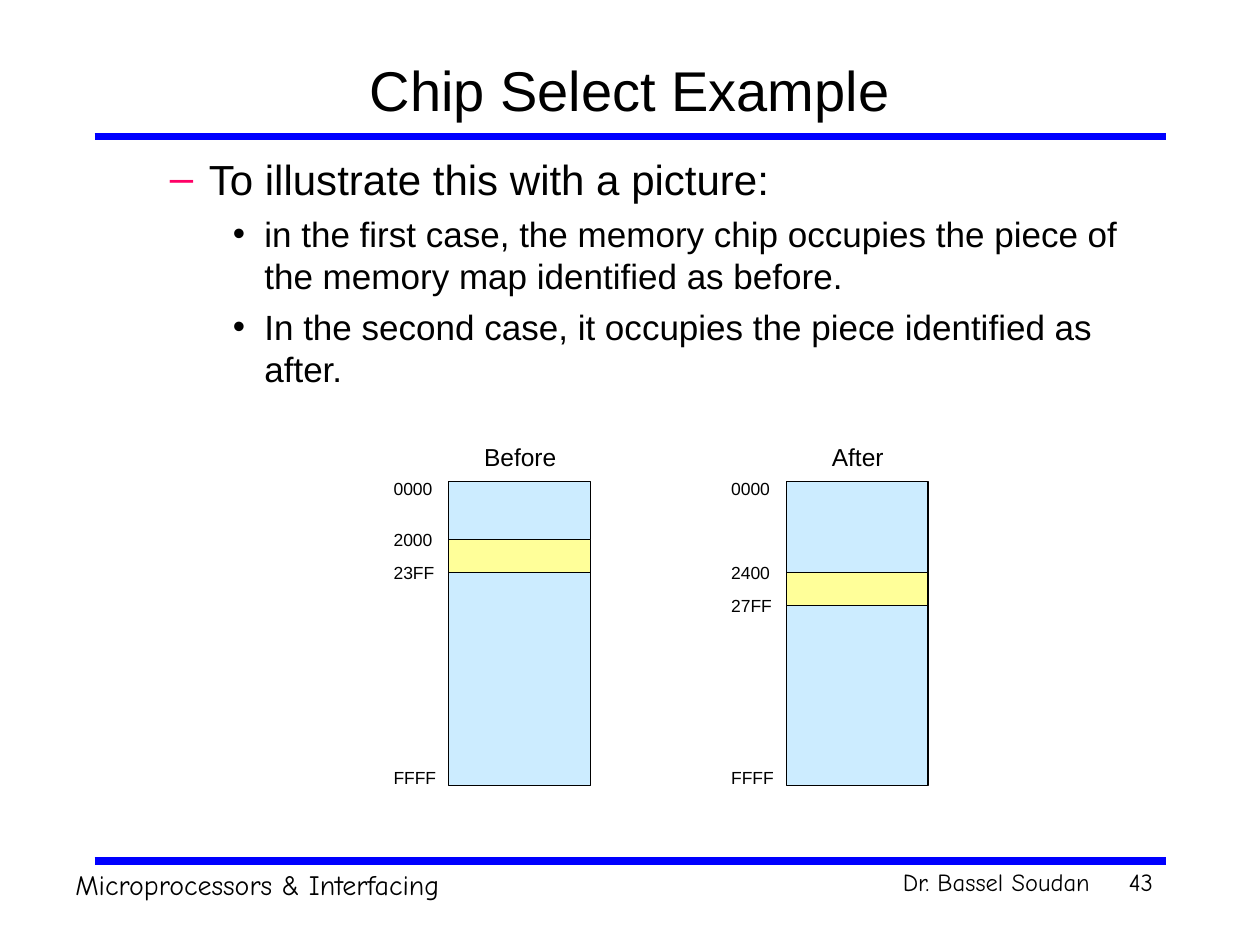
"""Build the Chip Select Example slide with its two memory maps."""
from pptx import Presentation
from pptx.dml.color import RGBColor
from pptx.enum.shapes import MSO_CONNECTOR, MSO_SHAPE
from pptx.enum.text import MSO_ANCHOR, PP_ALIGN
from pptx.oxml.ns import qn
from pptx.util import Inches, Pt
from lxml import etree

LEFT, CENTER, RIGHT = PP_ALIGN.LEFT, PP_ALIGN.CENTER, PP_ALIGN.RIGHT
TOP, MIDDLE = MSO_ANCHOR.TOP, MSO_ANCHOR.MIDDLE
RECT, STRAIGHT = MSO_SHAPE.RECTANGLE, MSO_CONNECTOR.STRAIGHT
COLORS = {"text": "000000", "rule": "0000FF", "dash": "FF0066",
          "memory": "CCECFF", "chip": "FFFF99"}
COMIC = "Comic Neue"

prs = Presentation()
prs.slide_width, prs.slide_height = Inches(10), Inches(7.5)
s = prs.slides.add_slide(prs.slide_layouts[6])
COL, ROW = prs.slide_width / 120, prs.slide_height / 90


def grid(x, y, w, h):
    return int(x * COL), int(y * ROW), int(w * COL), int(h * ROW)


def add_text(text, box, size=10, font="Arial", align=LEFT, anchor=TOP, tf=None):
    if tf is None:
        tf = s.shapes.add_textbox(*grid(*box)).text_frame
        tf.word_wrap, tf.vertical_anchor = True, anchor
        p = tf.paragraphs[0]
    else:
        p = tf.add_paragraph()
    p.alignment = align
    r = p.add_run()
    r.text = text
    r.font.size, r.font.name = Pt(size), font
    r.font.color.rgb = RGBColor.from_string(COLORS["text"])
    return tf


for row in (82, 13):
    x, y, w, h = grid(9, row, 102, 0)
    line = s.shapes.add_connector(STRAIGHT, x, y, x + w, y)
    line.line.color.rgb = RGBColor.from_string(COLORS["rule"])
    line.line.width = Pt(4.5)
    etree.SubElement(line._element.spPr, qn("a:effectLst"))

add_text("Microprocessors & Interfacing", (6, 82, 68, 4.4), size=16, font=COMIC)
add_text("Dr. Bassel Soudan", (76, 82, 29, 4.1), size=14, font=COMIC, align=RIGHT)
add_text("43", (106, 82, 5, 6), size=14, font=COMIC, align=RIGHT)
add_text("Chip Select Example", (9, 4, 102, 9), size=32, align=CENTER, anchor=MIDDLE)

body = (
    ("To illustrate this with a picture:", 1, 24, 6, 0.81, 0.31, "–", "dash"),
    ("in the first case, the memory chip occupies the piece of the memory map "
     "identified as before.", 2, 20, 5, 1.25, 0.25, "•", "text"),
    ("In the second case, it occupies the piece identified as after.",
     2, 20, 5, 1.25, 0.25, "•", "text"),
)
tf = None
for text, level, size, before, margin, hang, bullet, color in body:
    tf = add_text(text, (9, 14, 102, 67), size=size, tf=tf)
    p = tf.paragraphs[-1]
    p.level, p.space_before = level, Pt(before)
    pPr = p._p.get_or_add_pPr()
    pPr.set("marL", str(Inches(margin)))
    pPr.set("indent", str(-Inches(hang)))
    buClr = etree.SubElement(pPr, qn("a:buClr"))
    etree.SubElement(buClr, qn("a:srgbClr"), val=COLORS[color])
    etree.SubElement(pPr, qn("a:buFont"), typeface="Arial")
    etree.SubElement(pPr, qn("a:buChar"), char=bullet)

MAP_TOP, MAP_H, MAP_W, CHIP_H = 45.85, 29, 13.5, 3.15
maps = (
    ("Before", 42.75, 51.35, "2000", "23FF"),
    ("After", 74.9, 51.35 + CHIP_H, "2400", "27FF"),
)
for caption, x, chip_top, first, last in maps:
    for top, height, fill in ((MAP_TOP, MAP_H, "memory"), (chip_top, CHIP_H, "chip")):
        sp = s.shapes.add_shape(RECT, *grid(x, top, MAP_W, height))
        sp.shadow.inherit = False
        sp.fill.solid()
        sp.fill.fore_color.rgb = RGBColor.from_string(COLORS[fill])
        sp.line.color.rgb = RGBColor.from_string(COLORS["text"])
        sp.line.width = Pt(0.75)
    addresses = (("0000", MAP_TOP - 0.95), (first, chip_top - 1.55),
                 (last, chip_top + CHIP_H - 1.55), ("FFFF", MAP_TOP + MAP_H - 2.35))
    for address, y in addresses:
        add_text(address, (x - 6.45, y, 6.6, 3.2))
    add_text(caption, (x + 2, 41.5, 9.6, 4.1), size=14, align=CENTER)

prs.save("out.pptx")
